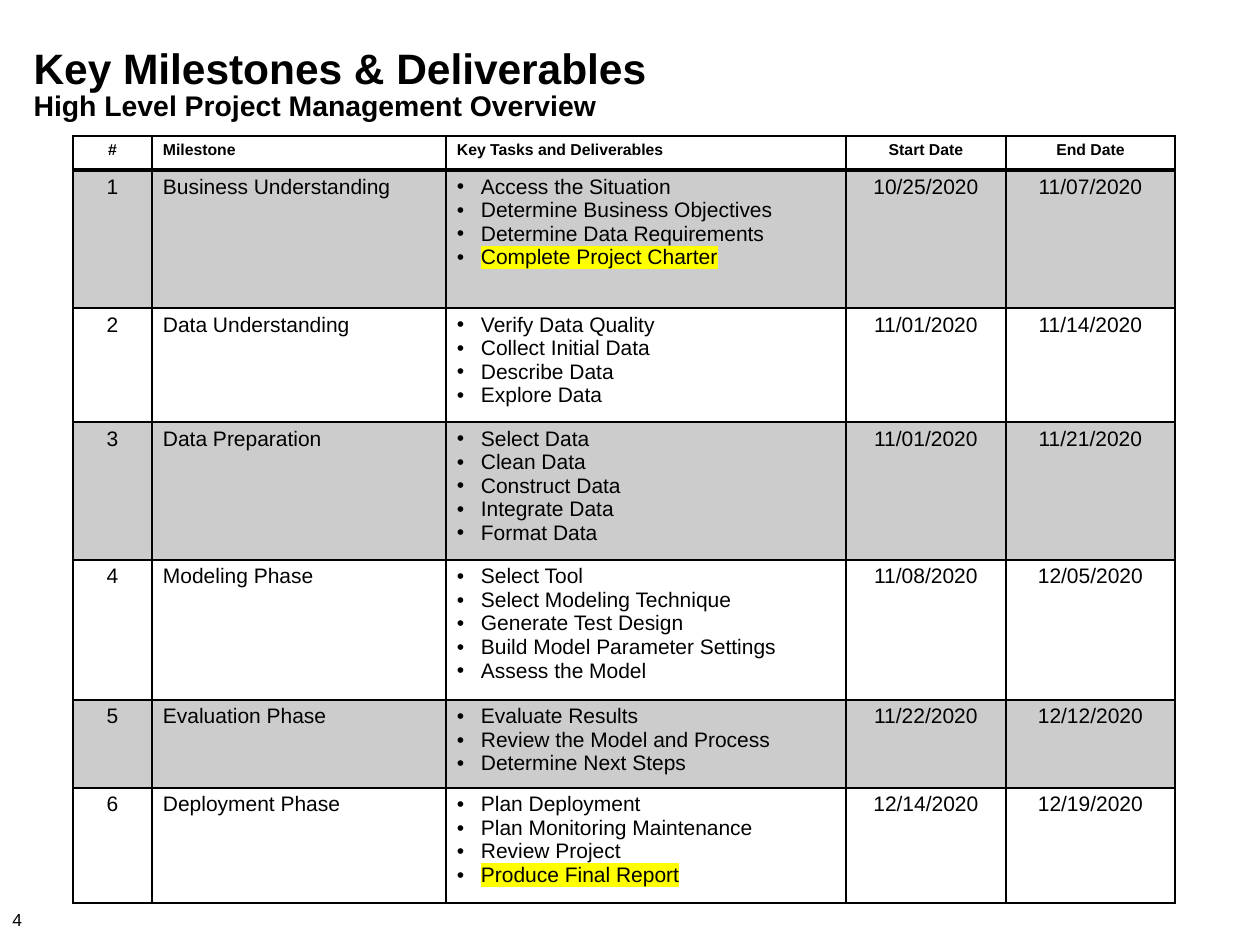
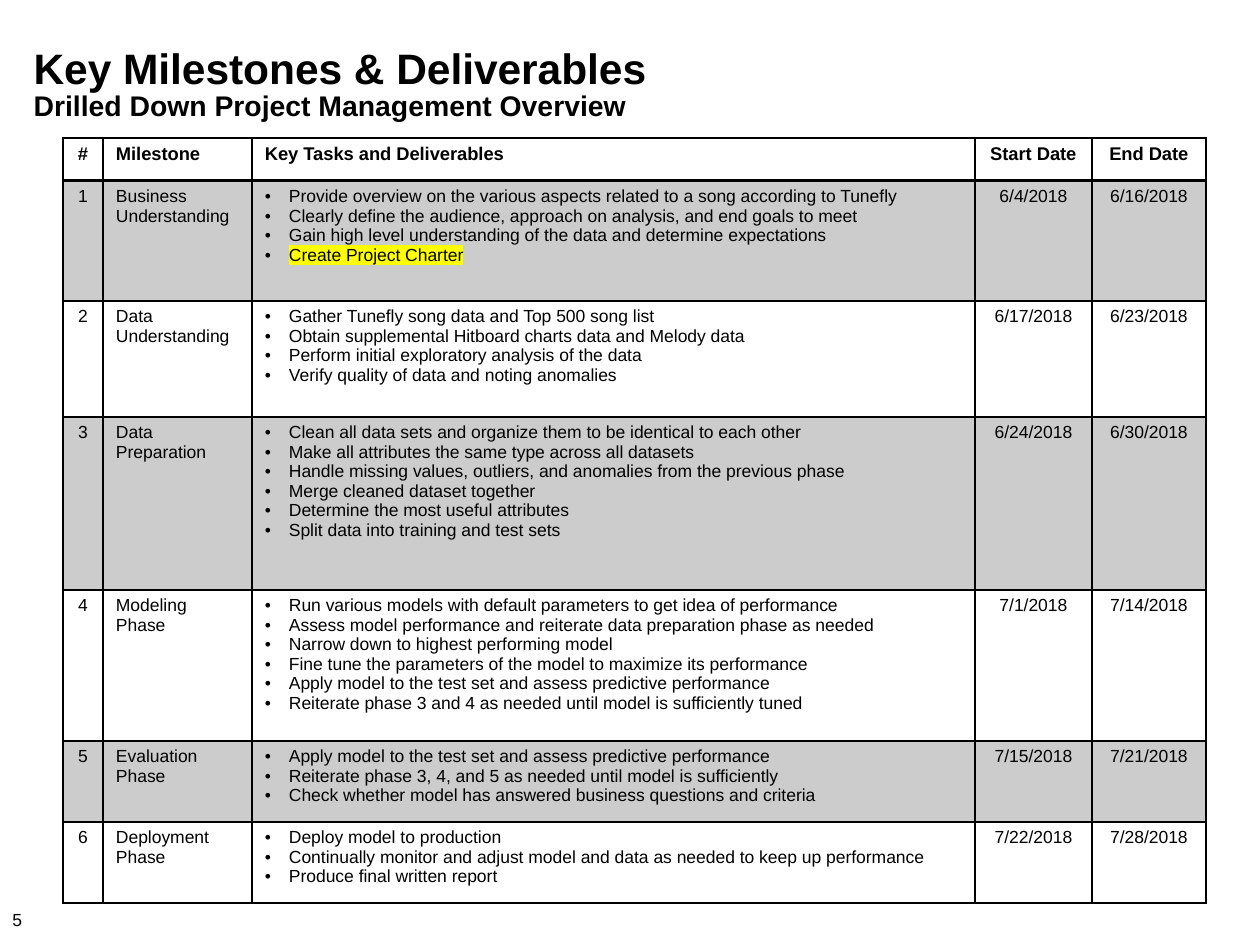
from lxml import etree
from pptx import Presentation
from pptx.dml.color import RGBColor
from pptx.enum.text import MSO_ANCHOR, MSO_AUTO_SIZE, PP_ALIGN
from pptx.oxml.ns import qn
from pptx.util import Emu, Pt

LEFT, CENTER = PP_ALIGN.LEFT, PP_ALIGN.CENTER
TOP = MSO_ANCHOR.TOP
NO_AUTOFIT = MSO_AUTO_SIZE.NONE

BLACK = RGBColor(0x00, 0x00, 0x00)
YELLOW = RGBColor(0xFF, 0xFF, 0x00)
FONT = "Arial"
PX_PER_INCH = 126
BAND_ALPHA = 20
BULLET_INDENT = 24

HEADERS = ["#", "Milestone", "Key Tasks and Deliverables", "Start Date", "End Date"]
ALIGNMENTS = [CENTER, LEFT, LEFT, CENTER, CENTER]
TASK_COLUMN = 2
PHASES = [
    "Business Understanding",
    "Data Understanding",
    "Data Preparation",
    "Modeling Phase",
    "Evaluation Phase",
    "Deployment Phase",
]
HIGHLIGHTED = {"Complete Project Charter", "Produce Final Report", "Create Project Charter"}

OVERVIEW = [
    (["Access the Situation", "Determine Business Objectives",
      "Determine Data Requirements", "Complete Project Charter"],
     "10/25/2020", "11/07/2020"),
    (["Verify Data Quality", "Collect Initial Data", "Describe Data", "Explore Data"],
     "11/01/2020", "11/14/2020"),
    (["Select Data", "Clean Data", "Construct Data", "Integrate Data", "Format Data"],
     "11/01/2020", "11/21/2020"),
    (["Select Tool", "Select Modeling Technique", "Generate Test Design",
      "Build Model Parameter Settings", "Assess the Model"],
     "11/08/2020", "12/05/2020"),
    (["Evaluate Results", "Review the Model and Process", "Determine Next Steps"],
     "11/22/2020", "12/12/2020"),
    (["Plan Deployment", "Plan Monitoring Maintenance", "Review Project",
      "Produce Final Report"],
     "12/14/2020", "12/19/2020"),
]

DRILL_DOWN = [
    (["Provide overview on the various aspects related to a song according to Tunefly",
      "Clearly define the audience, approach on analysis, and end goals to meet",
      "Gain high level understanding of the data and determine expectations",
      "Create Project Charter"],
     "6/4/2018", "6/16/2018"),
    (["Gather Tunefly song data and Top 500 song list",
      "Obtain supplemental Hitboard charts data and Melody data",
      "Perform initial exploratory analysis of the data",
      "Verify quality of data and noting anomalies"],
     "6/17/2018", "6/23/2018"),
    (["Clean all data sets and organize them to be identical to each other",
      "Make all attributes the same type across all datasets",
      "Handle missing values, outliers, and anomalies from the previous phase",
      "Merge cleaned dataset together",
      "Determine the most useful attributes",
      "Split data into training and test sets"],
     "6/24/2018", "6/30/2018"),
    (["Run various models with default parameters to get idea of performance",
      "Assess model performance and reiterate data preparation phase as needed",
      "Narrow down to highest performing model",
      "Fine tune the parameters of the model to maximize its performance",
      "Apply model to the test set and assess predictive performance",
      "Reiterate phase 3 and 4 as needed until model is sufficiently tuned"],
     "7/1/2018", "7/14/2018"),
    (["Apply model to the test set and assess predictive performance",
      "Reiterate phase 3, 4, and 5 as needed until model is sufficiently",
      "Check whether model has answered business questions and criteria"],
     "7/15/2018", "7/21/2018"),
    (["Deploy model to production",
      "Continually monitor and adjust model and data as needed to keep up performance",
      "Produce final written report"],
     "7/22/2018", "7/28/2018"),
]


def px(length):
    return Emu(round(length * 914400 / PX_PER_INCH))


class MilestoneDeck:
    def __init__(self):
        self.deck = Presentation()
        self.deck.slide_width, self.deck.slide_height = px(1260), px(945)
        self.page = None

    def add_page(self, subtitle, number):
        self.page = self.deck.slides.add_slide(self.deck.slide_layouts[5])
        self.title("Key Milestones & Deliverables", subtitle)
        self.page_number(number)

    def span(self, para, text, size, bold=False):
        span = para.add_run()
        span.text = text
        span.font.name = FONT
        span.font.size = Pt(size)
        span.font.bold = bold
        span.font.color.rgb = BLACK
        return span

    def title(self, heading, subtitle):
        box = self.page.shapes.title
        box.left, box.top, box.width, box.height = px(21), px(42), px(1103), px(95)
        frame = box.text_frame
        frame.word_wrap = True
        frame.auto_size = NO_AUTOFIT
        frame.vertical_anchor = TOP
        frame.margin_top = px(8)
        para = frame.paragraphs[0]
        para.alignment = LEFT
        para.line_spacing = 0.85
        self.span(para, heading, 24.3, True)
        para.add_line_break()
        self.span(para, subtitle, 16.2, True)

    def page_number(self, number):
        box = self.page.shapes.add_textbox(px(0), px(903), px(47), px(32))
        box.text_frame.word_wrap = True
        self.span(box.text_frame.paragraphs[0], str(number), 10)

    def highlight(self, span):
        mark = etree.Element(qn("a:highlight"))
        etree.SubElement(mark, qn("a:srgbClr"), val=str(YELLOW))
        span.font.fill._xPr.find(qn("a:solidFill")).addnext(mark)

    def bullet(self, para):
        properties = para._p.get_or_add_pPr()
        properties.set("marL", str(px(BULLET_INDENT)))
        properties.set("indent", str(-px(BULLET_INDENT)))
        etree.SubElement(properties, qn("a:buFont"), typeface=FONT)
        etree.SubElement(properties, qn("a:buChar"), char="•")

    def borders(self, cell, top, bottom):
        properties = cell._tc.get_or_add_tcPr()
        widths = {"a:lnL": 1, "a:lnR": 1, "a:lnT": top, "a:lnB": bottom}
        for position, (side, width) in enumerate(widths.items()):
            line = etree.Element(qn(side), w=str(Pt(width)))
            fill = etree.SubElement(line, qn("a:solidFill"))
            etree.SubElement(fill, qn("a:srgbClr"), val=str(BLACK))
            properties.insert(position, line)

    def band(self, cell):
        cell.fill.solid()
        cell.fill.fore_color.rgb = BLACK
        color = cell._tc.tcPr.find(qn("a:solidFill")).find(qn("a:srgbClr"))
        etree.SubElement(color, qn("a:alpha"), val=str(BAND_ALPHA * 1000))

    def cell(self, cell, row, column, lines, size, margins):
        cell.margin_left = cell.margin_right = px(margins[0])
        cell.margin_top = cell.margin_bottom = px(margins[1])
        cell.vertical_anchor = TOP
        for index, line in enumerate(lines):
            frame = cell.text_frame
            para = frame.add_paragraph() if index else frame.paragraphs[0]
            para.alignment = ALIGNMENTS[column]
            if row and column == TASK_COLUMN:
                self.bullet(para)
            span = self.span(para, line, size, row == 0)
            if line in HIGHLIGHTED:
                self.highlight(span)
        if row % 2:
            self.band(cell)
        else:
            cell.fill.background()
        self.borders(cell, 2 if row == 1 else 1, 2 if row == 0 else 1)

    def milestone_table(self, left, top, widths, heights, schedule,
                        header_size, body_size, margins):
        rows = [[[header] for header in HEADERS]]
        for number, (phase, (tasks, start, end)) in enumerate(zip(PHASES, schedule), 1):
            rows.append([[str(number)], [phase], tasks, [start], [end]])
        table = self.page.shapes.add_table(
            len(rows), len(HEADERS), px(left), px(top),
            px(sum(widths)), px(sum(heights))).table
        table.first_row = table.horz_banding = False
        for column, width in zip(table.columns, widths):
            column.width = px(width)
        for row, (cells, height) in enumerate(zip(rows, heights)):
            table.rows[row].height = px(height)
            size = body_size if row else header_size
            for column, lines in enumerate(cells):
                self.cell(table.cell(row, column), row, column, lines, size, margins)


def main():
    milestones = MilestoneDeck()
    milestones.add_page("High Level Project Management Overview", 4)
    milestones.milestone_table(
        73, 136, [79, 294, 400, 160, 169], [34, 138, 114, 138, 140, 88, 115],
        OVERVIEW, 9, 12, (11, 5))
    milestones.add_page("Drilled Down Project Management Overview", 5)
    milestones.milestone_table(
        63, 138, [40, 149, 723, 117, 114], [43, 120, 116, 173, 151, 81, 81],
        DRILL_DOWN, 10.5, 10, (13, 6))
    milestones.deck.save("out.pptx")


if __name__ == "__main__":
    main()
